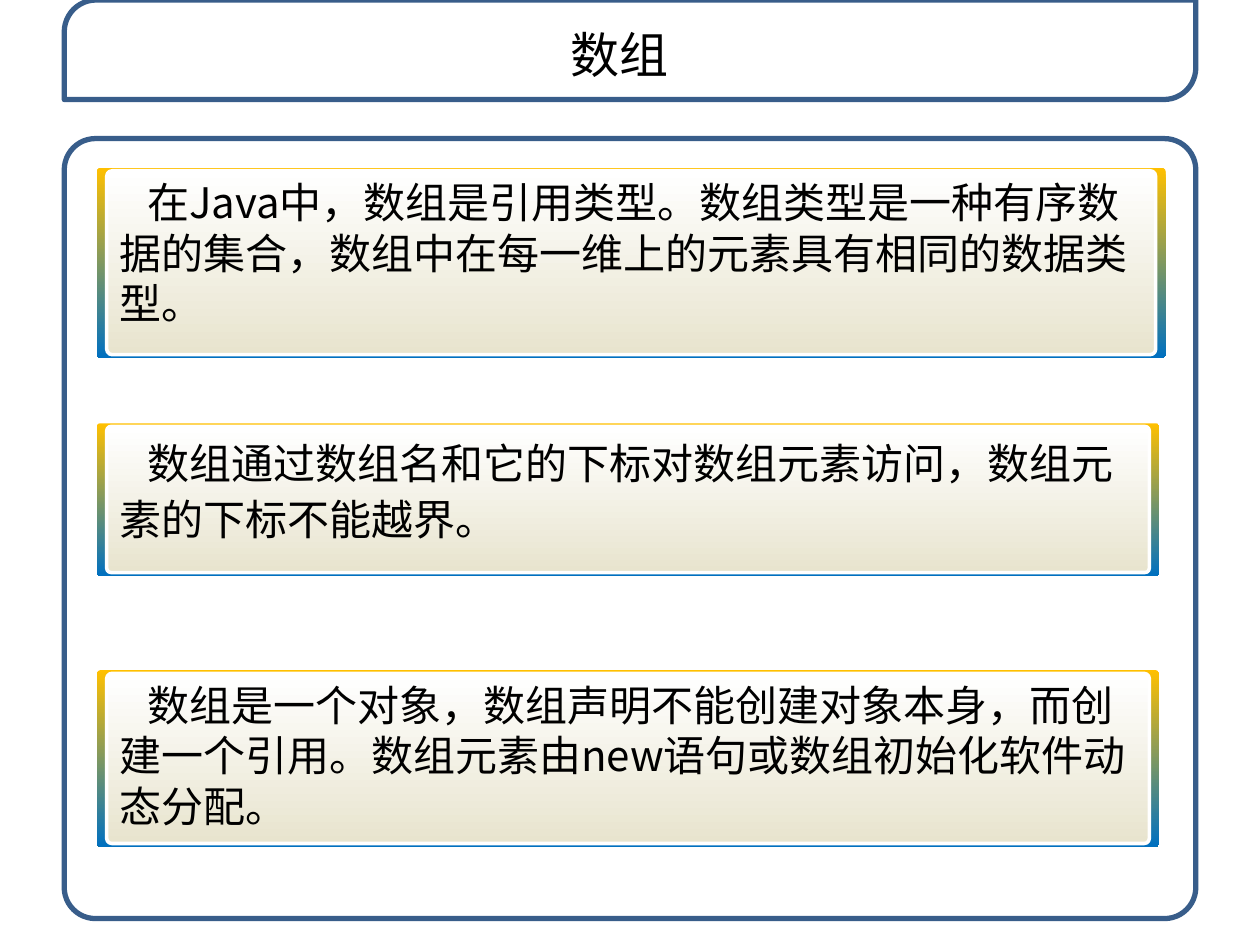
"""Build a slide that explains arrays in three framed notes."""
from lxml.etree import SubElement
from pptx import Presentation
from pptx.dml.color import RGBColor
from pptx.enum.shapes import MSO_SHAPE
from pptx.enum.text import MSO_ANCHOR, MSO_AUTO_SIZE, PP_ALIGN
from pptx.oxml.ns import qn
from pptx.util import Pt

COLORS = {
    "paper": "FFFFFF",
    "border": "385D8A",
    "gold": "FFC000",
    "blue": "0070C0",
    "sand": "E8E4CE",
    "ink": "000000",
}
FONT = "Noto Sans CJK SC"
NOTES = [
    dict(
        text="在Java中，数组是引用类型。数组类型是一种有序数据的集合，数组中在每一维上的元素具有相同的数据类型。",
        top=95.8, width=610.6, height=108.7, text_height=93.6, leading=28.8,
    ),
    dict(
        text="数组通过数组名和它的下标对数组元素访问，数组元素的下标不能越界。",
        top=241.9, width=607, height=87.1, text_height=70.6, leading=31.7,
    ),
    dict(
        text="数组是一个对象，数组声明不能创建对象本身，而创建一个引用。数组元素由new语句或数组初始化软件动态分配。",
        top=383, width=607, height=100.8, text_height=93.6, leading=28.8,
    ),
]


def color(name):
    return RGBColor.from_string(COLORS[name])


def write(frame, text, size=24, align=PP_ALIGN.LEFT, indent=0, leading=None,
          anchor=MSO_ANCHOR.TOP):
    frame.word_wrap = True
    frame.auto_size = MSO_AUTO_SIZE.NONE
    frame.vertical_anchor = anchor
    para = frame.paragraphs[0]
    para.alignment = align
    if leading:
        para.line_spacing = Pt(leading)
    para._p.get_or_add_pPr().set("indent", str(Pt(indent)))
    span = para.add_run()
    span.text = text
    span.font.size = Pt(size)
    span.font.name = FONT
    span.font.color.rgb = color("ink")
    SubElement(span.font._element, qn("a:ea"), typeface=FONT)


class SlideBuilder:
    def __init__(self, page):
        self.page = page

    def shape(self, kind, left, top, width, height, rounding):
        box = self.page.shapes.add_shape(
            kind, Pt(left), Pt(top), Pt(width), Pt(height))
        box.shadow.inherit = False
        box.adjustments[0] = rounding
        return box

    def outline(self, box, name, width):
        box.line.color.rgb = color(name)
        box.line.width = Pt(width)

    def panel(self, kind, top, height, rounding):
        box = self.shape(kind, 36.7, top, 646.6, height, rounding)
        box.fill.solid()
        box.fill.fore_color.rgb = color("paper")
        fill = box._element.spPr.find(qn("a:solidFill"))
        SubElement(fill[0], qn("a:alpha"), val="85000")
        self.outline(box, "border", 3)

    def gradient(self, left, top, width, height, rounding, names):
        box = self.shape(MSO_SHAPE.ROUNDED_RECTANGLE,
                         left, top, width, height, rounding)
        box.fill.gradient()
        box.fill.gradient_angle = 270
        for stop, name in zip(box.fill.gradient_stops, names):
            stop.color.rgb = color(name)
        box.line.fill.background()
        return box

    def note(self, text, top, width, height, text_height, leading):
        left, inset = 55.4, 5.6
        self.gradient(left, top, width, height, 0.02, ("gold", "blue"))
        left, top, width = left + inset, top + 1.8, width - 2 * inset
        face = self.gradient(left, top, width, height - 3.6, 0.03,
                             ("paper", "sand"))
        self.outline(face, "paper", 2)
        box = self.page.shapes.add_textbox(
            Pt(left), Pt(top), Pt(width), Pt(text_height))
        write(box.text_frame, text, indent=16, leading=leading)

    def title(self, text):
        box = self.page.shapes.title
        box.left, box.top, box.width, box.height = (
            Pt(36), Pt(9.4), Pt(635.8), Pt(43.2))
        write(box.text_frame, text, size=28, align=PP_ALIGN.CENTER,
              anchor=MSO_ANCHOR.MIDDLE)
        self.page.shapes._spTree.append(box._element)


def main():
    deck = Presentation()
    deck.slide_width, deck.slide_height = Pt(720), Pt(540)
    builder = SlideBuilder(deck.slides.add_slide(deck.slide_layouts[5]))
    builder.panel(MSO_SHAPE.ROUNDED_RECTANGLE, 79.2, 445.7, 0.04)
    builder.panel(MSO_SHAPE.ROUND_2_DIAG_RECTANGLE, 0, 56.9, 0.32)
    for note in NOTES:
        builder.note(**note)
    builder.title("数组")
    deck.save("out.pptx")


if __name__ == "__main__":
    main()
